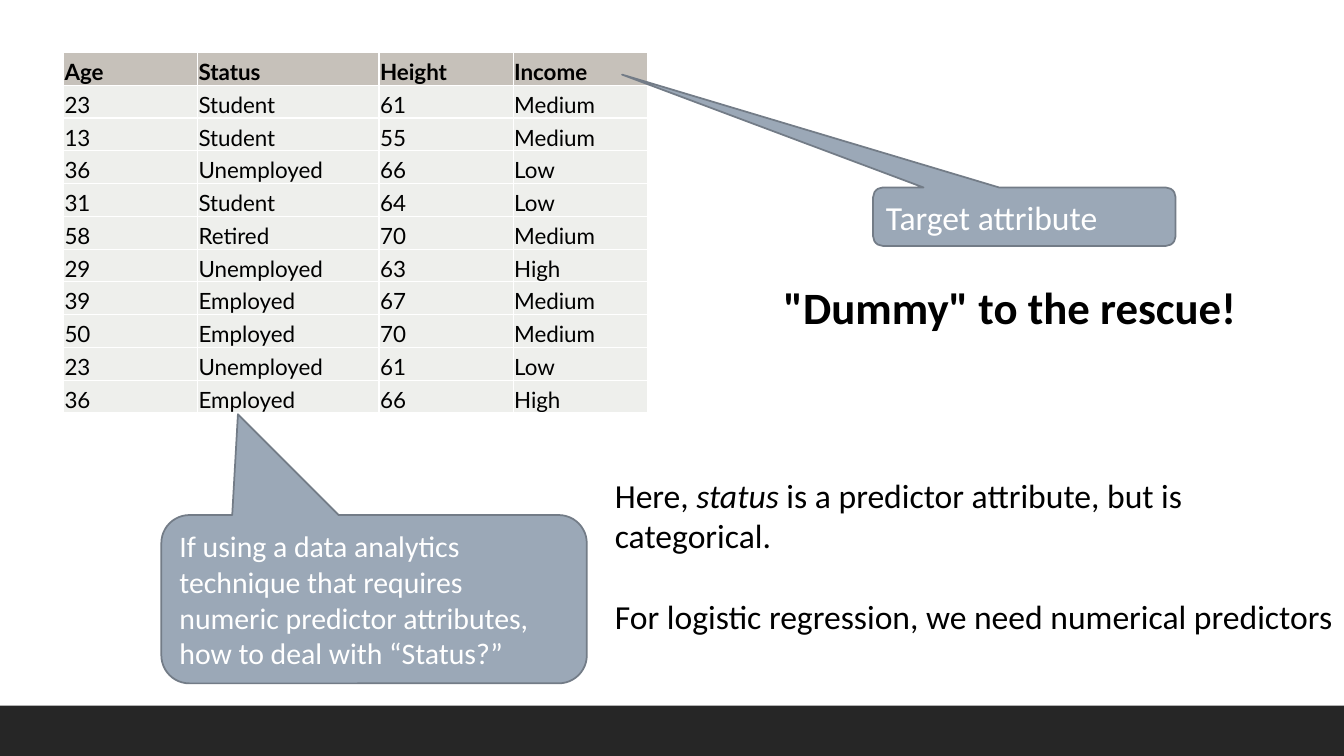
from lxml import etree
from pptx import Presentation
from pptx import util as u
from pptx.dml.color import RGBColor
from pptx.enum import shapes, text
from pptx.oxml import ns

COLORS = {
    "ink": "000000",
    "white": "FFFFFF",
    "footer": "262626",
    "header": "C6C1BA",
    "row": "EEEFEC",
    "callout": "9BA8B7",
    "outline": "737C87",
}

PEOPLE = [
    ("Age", "Status", "Height", "Income"),
    ("23", "Student", "61", "Medium"),
    ("13", "Student", "55", "Medium"),
    ("36", "Unemployed", "66", "Low"),
    ("31", "Student", "64", "Low"),
    ("58", "Retired", "70", "Medium"),
    ("29", "Unemployed", "63", "High"),
    ("39", "Employed", "67", "Medium"),
    ("50", "Employed", "70", "Medium"),
    ("23", "Unemployed", "61", "Low"),
    ("36", "Employed", "66", "High"),
]
COLUMN_WIDTHS = (1.33, 1.8, 1.33, 1.33)


def color(name):
    return RGBColor.from_string(COLORS[name])


def inches(box):
    return [u.Inches(length) for length in box]


def style_runs(paragraph, size, ink="ink", face="Calibri", bold=False):
    for run in paragraph.runs:
        run.font.size = u.Pt(size)
        run.font.name = face
        run.font.bold = bold
        run.font.color.rgb = color(ink)


def add_footer(slide, box):
    footer = slide.shapes.add_shape(shapes.MSO_SHAPE.RECTANGLE, *inches(box))
    footer.shadow.inherit = False
    footer.fill.solid()
    footer.fill.fore_color.rgb = color("footer")
    footer.line.fill.background()


def place_title(slide, box, wording):
    title = slide.shapes.title
    title.left, title.top, title.width, title.height = inches(box)
    frame = title.text_frame
    frame.text = wording
    frame.word_wrap = False
    frame.auto_size = text.MSO_AUTO_SIZE.NONE
    frame.vertical_anchor = text.MSO_ANCHOR.TOP
    frame.paragraphs[0].alignment = text.PP_ALIGN.LEFT
    style_runs(frame.paragraphs[0], 32, bold=True)


def add_borders(cell):
    properties = cell._tc.get_or_add_tcPr()
    for side in ("a:lnL", "a:lnR", "a:lnT", "a:lnB"):
        border = etree.SubElement(properties, ns.qn(side), w=str(u.Pt(1)))
        fill = etree.SubElement(border, ns.qn("a:solidFill"))
        etree.SubElement(fill, ns.qn("a:srgbClr"), val=COLORS["white"])


def format_cell(cell, wording, is_header):
    cell.text = wording
    cell.margin_left = cell.margin_right = cell.margin_top = u.Inches(0.01)
    cell.margin_bottom = 0
    cell.vertical_anchor = text.MSO_ANCHOR.BOTTOM
    add_borders(cell)
    cell.fill.solid()
    cell.fill.fore_color.rgb = color("header" if is_header else "row")
    style_runs(cell.text_frame.paragraphs[0], 16, face="Lato", bold=is_header)


def add_people_table(slide, box):
    frame = slide.shapes.add_table(len(PEOPLE), len(COLUMN_WIDTHS), *inches(box))
    table = frame.table
    table.horz_banding = False
    for column, width in zip(table.columns, COLUMN_WIDTHS):
        column.width = u.Inches(width)
    for row_index, person in enumerate(PEOPLE):
        table.rows[row_index].height = u.Inches(box[3] / len(PEOPLE))
        for column_index, wording in enumerate(person):
            format_cell(table.cell(row_index, column_index), wording, row_index == 0)


def add_callout(slide, box, tip, wording, size):
    left, top, width, height = box
    callout = slide.shapes.add_shape(
        shapes.MSO_SHAPE.ROUNDED_RECTANGULAR_CALLOUT, *inches(box))
    callout.adjustments[0] = (tip[0] - left) / width - 0.5
    callout.adjustments[1] = (tip[1] - top) / height - 0.5
    callout.shadow.inherit = False
    callout.fill.solid()
    callout.fill.fore_color.rgb = color("callout")
    callout.line.color.rgb = color("outline")
    callout.line.width = u.Pt(1.25)
    frame = callout.text_frame
    frame.text = wording
    frame.word_wrap = True
    frame.vertical_anchor = text.MSO_ANCHOR.MIDDLE
    frame.paragraphs[0].alignment = text.PP_ALIGN.LEFT
    style_runs(frame.paragraphs[0], size, "white")


def add_explanation(slide, box):
    frame = slide.shapes.add_textbox(*inches(box)).text_frame
    frame.word_wrap = True
    predictor = frame.paragraphs[0]
    for wording in ("Here, ", "status", " is a predictor attribute, but is categorical."):
        run = predictor.add_run()
        run.text = wording
        run.font.italic = wording == "status"
    regression = frame.add_paragraph()
    regression.text = "For logistic regression, we need numerical predictors"
    regression.space_before = u.Pt(29)
    for paragraph in frame.paragraphs:
        style_runs(paragraph, 24)


def build_dummy_slide(deck):
    slide = deck.slides.add_slide(deck.slide_layouts[5])
    add_footer(slide, (0, 7, 13.33, 0.5))
    place_title(slide, (7.67, 2.72, 4.73, 0.64), '"Dummy" to the rescue!')
    add_people_table(slide, (0.63, 0.52, 5.79, 3.58))
    add_callout(slide, (8.66, 1.86, 3, 0.58), (6.17, 0.74), "Target attribute", 24)
    add_callout(
        slide, (1.6, 5.11, 4.22, 1.67), (2.36, 4.11),
        "If using a data analytics technique that requires numeric predictor "
        "attributes, how to deal with “Status?”", 21.3)
    add_explanation(slide, (6, 4.66, 7.33, 1.72))


def main():
    deck = Presentation()
    deck.slide_width, deck.slide_height = inches((13.33, 7.5))
    build_dummy_slide(deck)
    deck.save("out.pptx")


if __name__ == "__main__":
    main()
